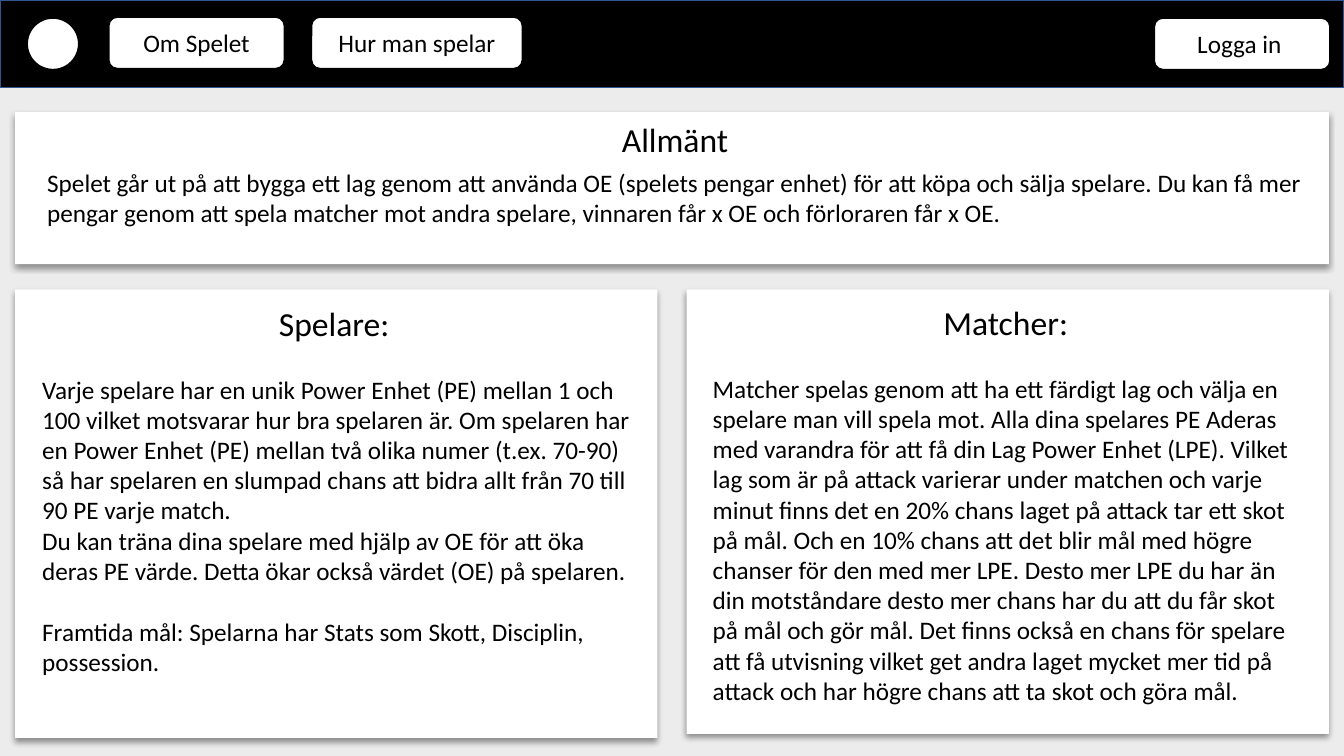
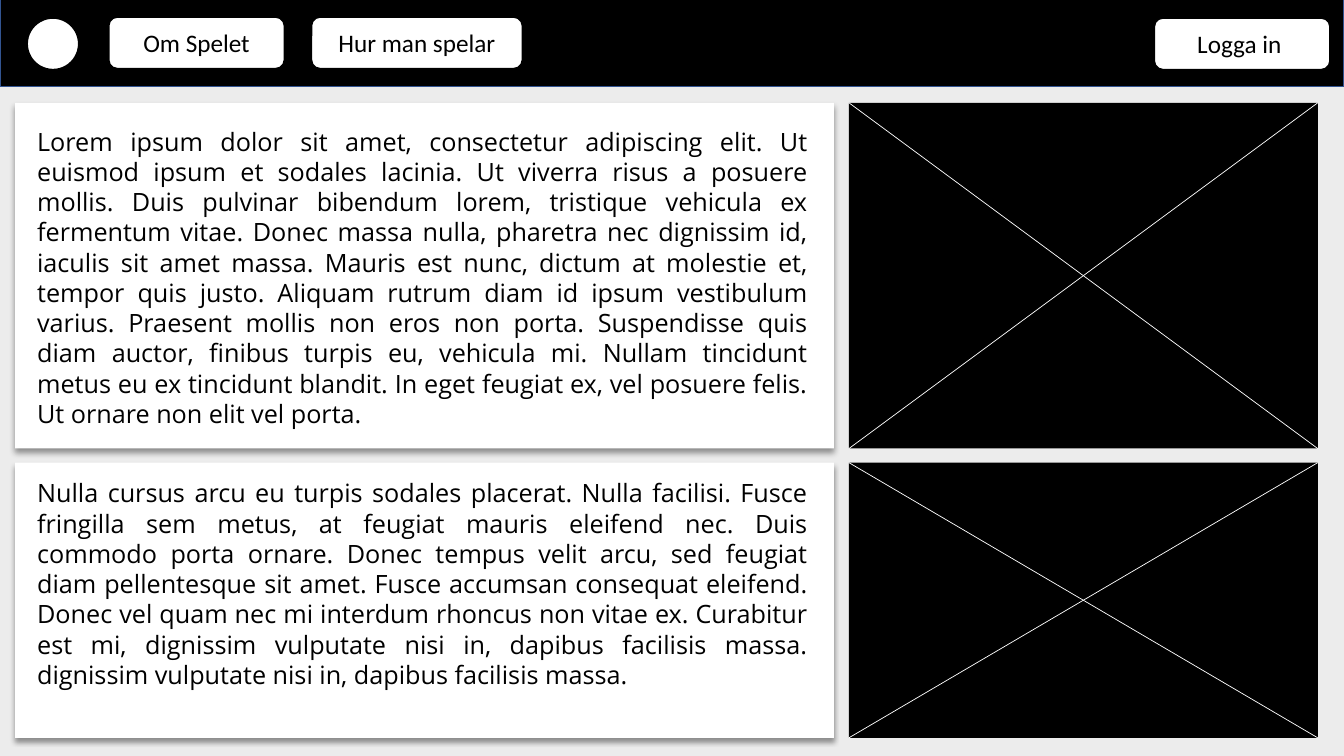
"""Builds two wireframe pages of a football game site: the rules and a text page."""
from dataclasses import dataclass

from lxml import etree
from pptx import Presentation
from pptx.dml.color import RGBColor
from pptx.enum.shapes import MSO_CONNECTOR, MSO_SHAPE
from pptx.enum.text import MSO_ANCHOR, MSO_AUTO_SIZE, PP_ALIGN
from pptx.oxml.ns import qn
from pptx.shapes.autoshape import Shape
from pptx.slide import Slide
from pptx.text.text import TextFrame
from pptx.util import Emu, Pt

EMU_PER_PX = 9144
PAGE_WIDTH, PAGE_HEIGHT = 1333, 750
BAR_HEIGHT = 87

BLACK = RGBColor(0x00, 0x00, 0x00)
WHITE = RGBColor(0xFF, 0xFF, 0xFF)
PAGE_GREY = RGBColor(0xEC, 0xEC, 0xEC)
BAR_EDGE = RGBColor(0x32, 0x54, 0x91)

SITE_FONT = "Calibri"
ARTICLE_FONT = "Open Sans"
HEADING_SIZE, BODY_SIZE = 24, 18
PARAGRAPH_GAP = 22

RECTANGLE = MSO_SHAPE.RECTANGLE
ROUNDED = MSO_SHAPE.ROUNDED_RECTANGLE
OVAL = MSO_SHAPE.OVAL
STRAIGHT = MSO_CONNECTOR.STRAIGHT
LEFT, CENTER, JUSTIFY = PP_ALIGN.LEFT, PP_ALIGN.CENTER, PP_ALIGN.JUSTIFY
TOP, MIDDLE = MSO_ANCHOR.TOP, MSO_ANCHOR.MIDDLE
GROW = MSO_AUTO_SIZE.SHAPE_TO_FIT_TEXT
TITLE_ONLY, BLANK = 5, 6


@dataclass(frozen=True)
class Box:
    """A rectangle on the page, in px."""
    left: int
    top: int
    width: int
    height: int

    def emu(self) -> tuple[Emu, Emu, Emu, Emu]:
        """Return the four lengths in EMU."""
        return px(self.left), px(self.top), px(self.width), px(self.height)


@dataclass(frozen=True)
class Style:
    """The look of a block of text."""
    font: str = SITE_FONT
    size: int = BODY_SIZE
    align: PP_ALIGN = LEFT


@dataclass(frozen=True)
class Paragraph:
    """A paragraph and the space above it in points."""
    text: str
    gap: int = 0


@dataclass(frozen=True)
class NavButton:
    """A button in the navigation bar."""
    label: str
    box: Box


@dataclass(frozen=True)
class Topic:
    """A card with a heading and body text."""
    card: Box
    heading: str
    heading_box: Box
    body: tuple[Paragraph, ...]
    body_box: Box


@dataclass(frozen=True)
class Article:
    """A text card with an image placeholder beside it."""
    card: Box
    text: str
    text_box: Box
    image: Box


HEADING = Style(size=HEADING_SIZE, align=CENTER)
BODY = Style()
BUTTON = Style(align=CENTER)
ARTICLE = Style(font=ARTICLE_FONT, align=JUSTIFY)

LOGO_SPOT = Box(27, 18, 51, 51)
NAV_BUTTONS = (
    NavButton("Om Spelet", Box(108, 17, 174, 51)),
    NavButton("Hur man spelar", Box(309, 17, 209, 51)),
    NavButton("Logga in ", Box(1145, 18, 174, 51)),
)

GENERAL = Topic(
    Box(15, 111, 1303, 151),
    "Allmänt",
    Box(417, 113, 505, 50),
    (Paragraph(
        "Spelet går ut på att bygga ett lag genom att använda OE (spelets pengar enhet) "
        "för att köpa och sälja spelare. Du kan få mer pengar genom att spela matcher mot "
        "andra spelare, vinnaren får x OE och förloraren får x OE."),),
    Box(37, 161, 1266, 101),
)
PLAYERS = Topic(
    Box(15, 287, 637, 445),
    "Spelare:",
    Box(29, 296, 605, 71),
    (
        Paragraph(
            "Varje spelare har en unik Power Enhet (PE) mellan 1 och 100 vilket motsvarar "
            "hur bra spelaren är. Om spelaren har en Power Enhet (PE) mellan två olika "
            "numer (t.ex. 70-90) så har spelaren en slumpad chans att bidra allt från 70 "
            "till 90 PE varje match."),
        Paragraph(
            "Du kan träna dina spelare med hjälp av OE för att öka deras PE värde. Detta "
            "ökar också värdet (OE) på spelaren."),
        Paragraph(
            "Framtida mål: Spelarna har Stats som Skott, Disciplin, possession.",
            PARAGRAPH_GAP),
    ),
    Box(32, 366, 605, 313),
)
MATCHES = Topic(
    Box(681, 287, 637, 441),
    "Matcher:",
    Box(695, 295, 605, 70),
    (Paragraph(
        "Matcher spelas genom att ha ett färdigt lag och välja en spelare man vill spela "
        "mot. Alla dina spelares PE Aderas med varandra för att få din Lag Power Enhet "
        "(LPE). Vilket lag som är på attack varierar under matchen och varje minut finns "
        "det en 20% chans laget på attack tar ett skot på mål. Och en 10% chans att det "
        "blir mål med högre chanser för den med mer LPE. Desto mer LPE du har än din "
        "motståndare desto mer chans har du att du får skot på mål och gör mål. Det finns "
        "också en chans för spelare att få utvisning vilket get andra laget mycket mer tid "
        "på attack och har högre chans att ta skot och göra mål."),),
    Box(697, 365, 605, 343),
)

ARTICLES = (
    Article(
        Box(15, 102, 812, 343),
        "Lorem ipsum dolor sit amet, consectetur adipiscing elit. Ut euismod ipsum et "
        "sodales lacinia. Ut viverra risus a posuere mollis. Duis pulvinar bibendum lorem, "
        "tristique vehicula ex fermentum vitae. Donec massa nulla, pharetra nec dignissim "
        "id, iaculis sit amet massa. Mauris est nunc, dictum at molestie et, tempor quis "
        "justo. Aliquam rutrum diam id ipsum vestibulum varius. Praesent mollis non eros "
        "non porta. Suspendisse quis diam auctor, finibus turpis eu, vehicula mi. Nullam "
        "tincidunt metus eu ex tincidunt blandit. In eget feugiat ex, vel posuere felis. "
        "Ut ornare non elit vel porta.",
        Box(27, 120, 784, 313),
        Box(842, 102, 465, 343),
    ),
    Article(
        Box(15, 459, 812, 273),
        "Nulla cursus arcu eu turpis sodales placerat. Nulla facilisi. Fusce fringilla sem "
        "metus, at feugiat mauris eleifend nec. Duis commodo porta ornare. Donec tempus "
        "velit arcu, sed feugiat diam pellentesque sit amet. Fusce accumsan consequat "
        "eleifend. Donec vel quam nec mi interdum rhoncus non vitae ex. Curabitur est mi, "
        "dignissim vulputate nisi in, dapibus facilisis massa. dignissim vulputate nisi "
        "in, dapibus facilisis massa. ",
        Box(27, 469, 784, 221),
        Box(842, 459, 465, 273),
    ),
)


def px(length: int) -> Emu:
    """Convert px to EMU."""
    return Emu(length * EMU_PER_PX)


def add_block(slide: Slide, box: Box, fill: RGBColor, kind: MSO_SHAPE = RECTANGLE,
              edge: RGBColor | None = None) -> Shape:
    """Draw a flat preset shape, outlined when an edge colour is given."""
    block = slide.shapes.add_shape(kind, *box.emu())
    block.shadow.inherit = False
    block.fill.solid()
    block.fill.fore_color.rgb = fill
    if edge is None:
        block.line.fill.background()
    else:
        block.line.color.rgb = edge
        block.line.width = Pt(1)
    return block


def add_card(slide: Slide, box: Box) -> Shape:
    """Draw a white card with a soft shadow below it."""
    card = add_block(slide, box, WHITE)
    effects = card.element.spPr.find(qn("a:effectLst"))
    shadow = etree.SubElement(effects, qn("a:outerShdw"), blurRad=str(Pt(4)),
                              dist=str(Pt(3)), dir="5400000", algn="t", rotWithShape="0")
    colour = etree.SubElement(shadow, qn("a:srgbClr"), val=str(BLACK))
    etree.SubElement(colour, qn("a:alpha"), val="40000")
    return card


def write(frame: TextFrame, paragraphs: tuple[Paragraph, ...], style: Style,
          anchor: MSO_ANCHOR = TOP) -> None:
    """Fill a text frame with styled paragraphs."""
    frame.word_wrap = True
    frame.vertical_anchor = anchor
    for index, content in enumerate(paragraphs):
        paragraph = frame.add_paragraph() if index else frame.paragraphs[0]
        paragraph.text = content.text
        paragraph.alignment = style.align
        paragraph.space_before = Pt(content.gap)
        paragraph.font.name = style.font
        paragraph.font.size = Pt(style.size)
        paragraph.font.color.rgb = BLACK


def add_text(slide: Slide, box: Box, paragraphs: tuple[Paragraph, ...],
             style: Style) -> None:
    """Add a text box that grows with its text."""
    frame = slide.shapes.add_textbox(*box.emu()).text_frame
    write(frame, paragraphs, style)
    frame.auto_size = GROW


def add_site_frame(slide: Slide, bar_top: int) -> None:
    """Draw the grey page and the navigation bar."""
    bar = Box(0, bar_top, PAGE_WIDTH, BAR_HEIGHT)
    page_top = bar_top + BAR_HEIGHT
    add_block(slide, Box(0, page_top, PAGE_WIDTH, PAGE_HEIGHT - page_top), PAGE_GREY)
    add_block(slide, bar, BLACK, edge=BAR_EDGE)
    add_block(slide, LOGO_SPOT, WHITE, OVAL, BLACK)
    for button in NAV_BUTTONS:
        face = add_block(slide, button.box, WHITE, ROUNDED, BLACK)
        write(face.text_frame, (Paragraph(button.label),), BUTTON, MIDDLE)


def add_topic(slide: Slide, topic: Topic, is_title: bool = False) -> None:
    """Draw a topic card, with its heading as the slide title if asked."""
    card = add_card(slide, topic.card)
    heading = (Paragraph(topic.heading),)
    if is_title:
        title = slide.shapes.title
        card.element.addnext(title.element)
        title.left, title.top, title.width, title.height = topic.heading_box.emu()
        write(title.text_frame, heading, HEADING)
        title.text_frame.auto_size = GROW
    else:
        add_text(slide, topic.heading_box, heading, HEADING)
    add_text(slide, topic.body_box, topic.body, BODY)


def add_image_spot(slide: Slide, box: Box) -> None:
    """Draw a black image placeholder crossed by two diagonals."""
    add_block(slide, box, BLACK)
    right, bottom = box.left + box.width, box.top + box.height
    for start, end in ((box.top, bottom), (bottom, box.top)):
        diagonal = slide.shapes.add_connector(STRAIGHT, px(box.left), px(start),
                                              px(right), px(end))
        diagonal.line.color.rgb = WHITE
        diagonal.line.width = Pt(0.5)
        etree.SubElement(diagonal.element.spPr, qn("a:effectLst"))


def main() -> None:
    """Build and save both pages."""
    deck = Presentation()
    deck.slide_width, deck.slide_height = px(PAGE_WIDTH), px(PAGE_HEIGHT)

    rules = deck.slides.add_slide(deck.slide_layouts[TITLE_ONLY])
    add_site_frame(rules, bar_top=0)
    add_topic(rules, GENERAL, is_title=True)
    add_topic(rules, PLAYERS)
    add_topic(rules, MATCHES)

    about = deck.slides.add_slide(deck.slide_layouts[BLANK])
    add_site_frame(about, bar_top=-1)
    for article in ARTICLES:
        add_card(about, article.card)
        add_text(about, article.text_box, (Paragraph(article.text),), ARTICLE)
        add_image_spot(about, article.image)

    deck.save("out.pptx")


if __name__ == "__main__":
    main()
